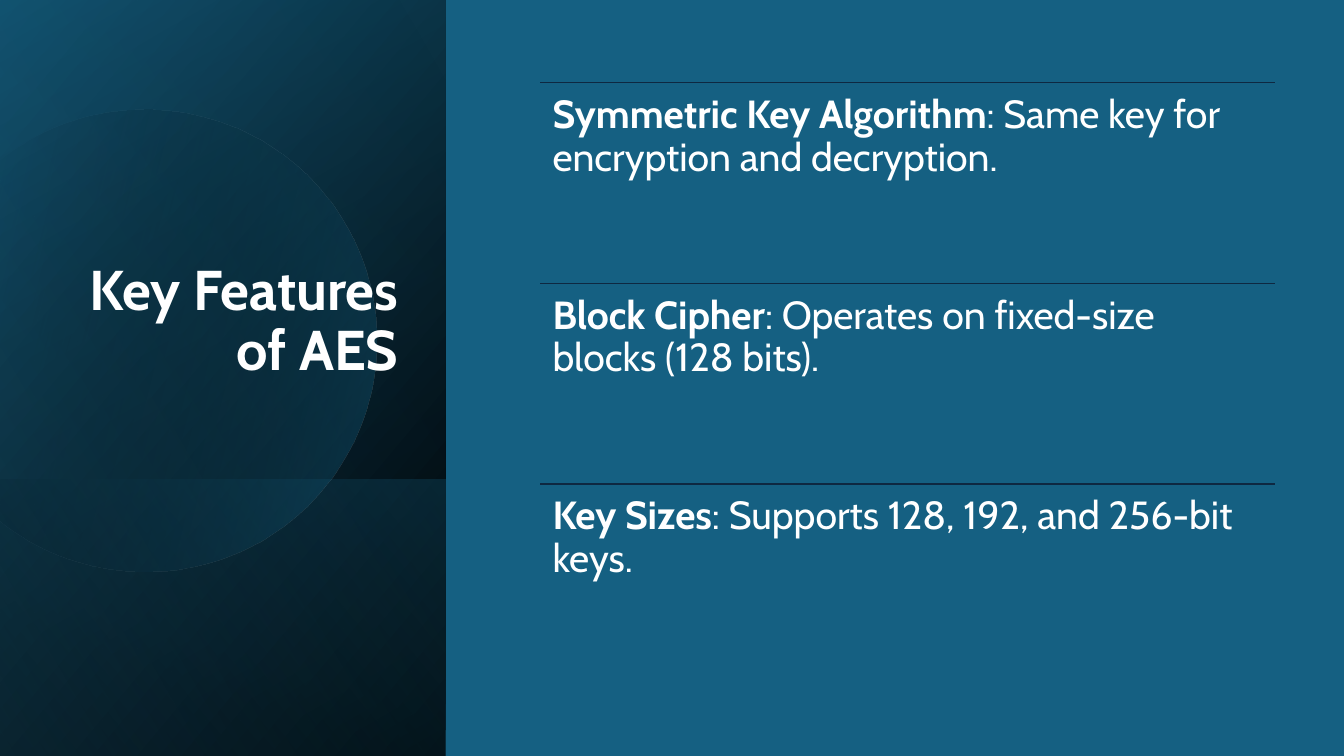
from math import acos, cos, pi, sin
from lxml.etree import SubElement
from pptx import Presentation
from pptx.dml.color import RGBColor
from pptx.enum.shapes import MSO_CONNECTOR, MSO_SHAPE
from pptx.enum.text import MSO_ANCHOR, PP_ALIGN
from pptx.oxml.ns import qn
from pptx.util import Inches, Pt

WIDTH, HEIGHT = 13.33, 7.5
PANEL = 4.42
FONT = "Cabin"
FEATURES = [
    ("Symmetric Key Algorithm", ": Same key for encryption and decryption."),
    ("Block Cipher", ": Operates on fixed-size blocks (128 bits)."),
    ("Key Sizes", ": Supports 128, 192, and 256-bit keys."),
]
BASE_LAYERS = [
    (HEIGHT, [("000000", 100), ("104862", 100)], 50),
    (HEIGHT, [("000000", 0), ("156082", 46)], 30),
    (2.74, [("156082", 29), ("000000", 30)], 130),
]
GLOW = (HEIGHT, [("000000", 0), ("46B1E1", 11)], 120)


def color(value):
    return RGBColor.from_string(value)


def apply(target, values):
    for name, value in values.items():
        setattr(target, name, value)


def fill_gradient(shape, stops, angle):
    shape.shadow.inherit = False
    shape.line.fill.background()
    shape.fill.gradient()
    gradient = shape._element.spPr.find(qn("a:gradFill"))
    gradient.set("rotWithShape", "1")
    for child in list(gradient):
        gradient.remove(child)
    stop_list = SubElement(gradient, qn("a:gsLst"))
    for position, (value, opacity) in zip((0, 100000), stops):
        stop = SubElement(stop_list, qn("a:gs"), pos=str(position))
        tint = SubElement(stop, qn("a:srgbClr"), val=value)
        SubElement(tint, qn("a:alpha"), val=str(opacity * 1000))
    SubElement(gradient, qn("a:lin"), ang=str(angle * 60000), scaled="0")


def add_layer(page, height, stops, angle):
    left = (PANEL - height) / 2
    top = HEIGHT - height / 2 - PANEL / 2
    layer = page.shapes.add_shape(
        MSO_SHAPE.RECTANGLE, Inches(left), Inches(top), Inches(height), Inches(PANEL))
    layer.rotation = 90
    layer._element.spPr.find(qn("a:xfrm")).set("flipH", "1")
    fill_gradient(layer, stops, angle)


def add_disc(page, center_x, center_y, radius, steps=120):
    limit = acos(-center_x / radius)
    angles = [limit * (2 * step / steps - 1) for step in range(steps + 1)]
    points = [(Inches(center_x + radius * cos(angle)),
               Inches(center_y + radius * sin(angle))) for angle in angles]
    builder = page.shapes.build_freeform(*points[0])
    builder.add_line_segments(points[1:], close=True)
    fill_gradient(builder.convert_to_shape(), [("000000", 0), ("156082", 43)], 14)


def add_text(page, left, top, width, height, spans, size, frame_format, para_format):
    box = page.shapes.add_textbox(
        Inches(left), Inches(top), Inches(width), Inches(height))
    apply(box.text_frame, {"word_wrap": True, **frame_format})
    para = box.text_frame.paragraphs[0]
    apply(para, {"line_spacing": 0.9, **para_format})
    for words, bold in spans:
        span = para.add_run()
        span.text = words
        apply(span.font, {"name": FONT, "size": Pt(size), "bold": bold})
        span.font.color.rgb = color("FFFFFF")


def add_title_panel(page):
    for layer in BASE_LAYERS:
        add_layer(page, *layer)
    add_disc(page, 1.44, 3.38, 2.29)
    add_layer(page, *GLOW)
    add_text(page, 0.64, 1.84, 3.41, 2.62, [("Key Features of AES", True)], 40,
             {"vertical_anchor": MSO_ANCHOR.BOTTOM, "margin_bottom": Inches(0.66)},
             {"alignment": PP_ALIGN.RIGHT})


def add_features(page, left, top, width, height):
    row = height / len(FEATURES)
    margins = {f"margin_{side}": Inches(0.12)
               for side in ("left", "top", "right", "bottom")}
    for index, (name, detail) in enumerate(FEATURES):
        y = top + index * row
        divider = page.shapes.add_connector(
            MSO_CONNECTOR.STRAIGHT, Inches(left), Inches(y), Inches(left + width), Inches(y))
        divider.line.color.rgb = color("0E2841")
        divider.line.width = Pt(1)
        SubElement(divider._element.spPr, qn("a:effectLst"))
        add_text(page, left, y, width, row, [(name, True), (detail, False)], 28,
                 margins, {"space_after": Pt(12)})


def main():
    deck = Presentation()
    apply(deck, {"slide_width": Inches(WIDTH), "slide_height": Inches(HEIGHT)})
    page = deck.slides.add_slide(deck.slide_layouts[6])
    backdrop = page.shapes.add_shape(
        MSO_SHAPE.RECTANGLE, 0, 0, Inches(WIDTH), Inches(HEIGHT))
    backdrop.shadow.inherit = False
    backdrop.fill.solid()
    backdrop.fill.fore_color.rgb = color("156082")
    backdrop.line.fill.background()
    add_title_panel(page)
    add_features(page, 5.36, 0.82, 7.29, 5.97)
    deck.save("out.pptx")


if __name__ == "__main__":
    main()
